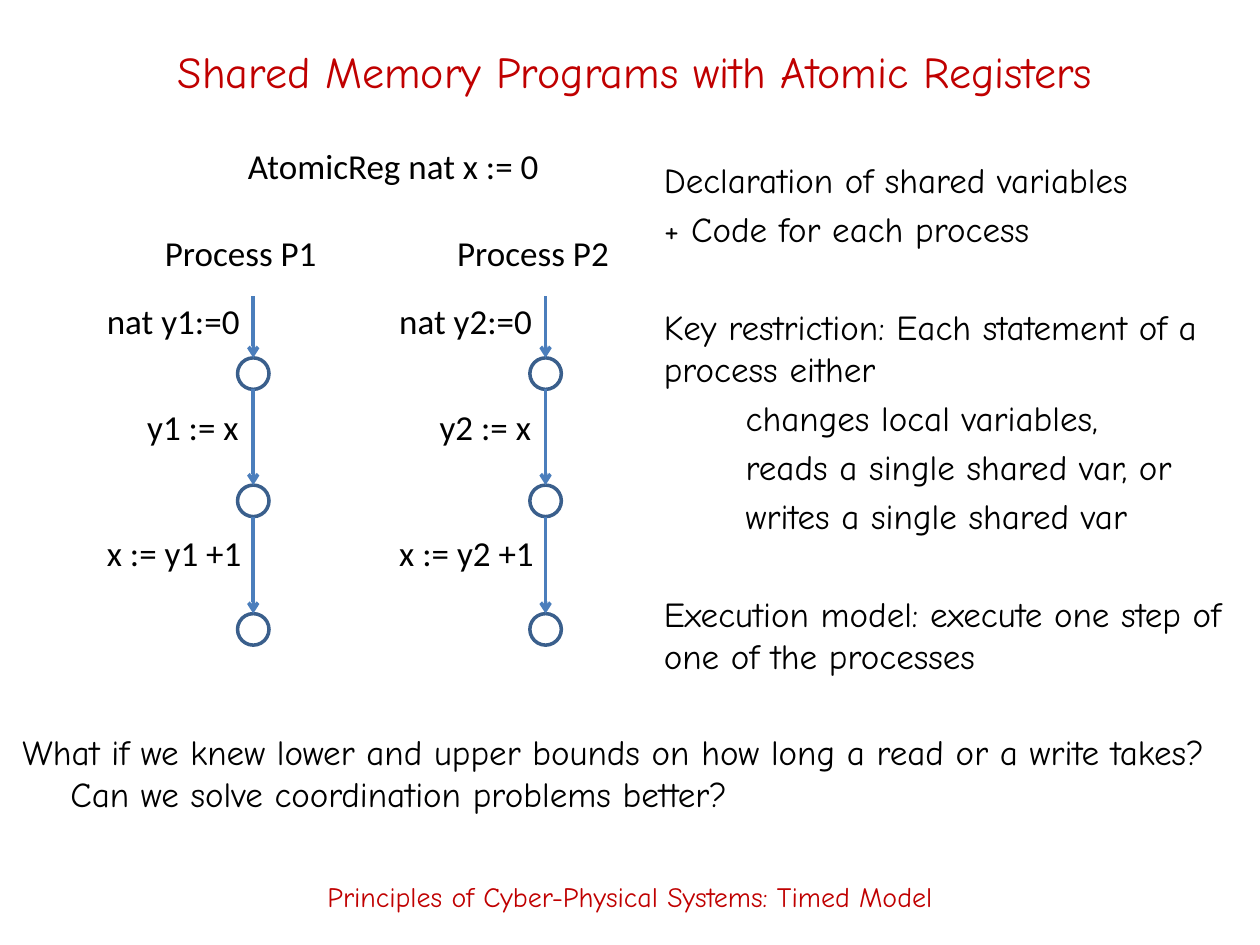
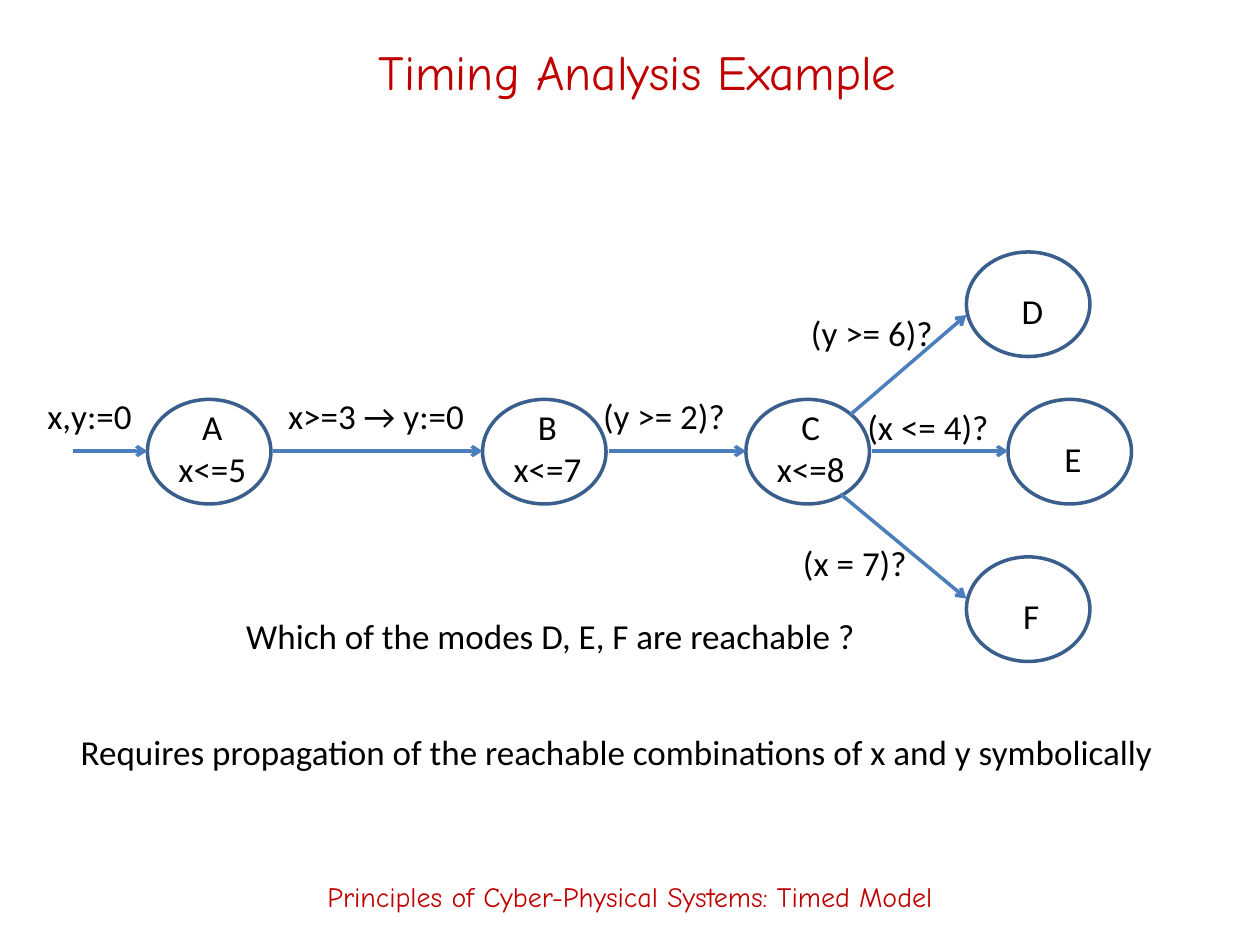
"""Build two slides on timed models: shared memory programs and timing analysis."""
from lxml import etree
from pptx import Presentation
from pptx.dml.color import RGBColor
from pptx.enum import shapes, text
from pptx.oxml import ns
from pptx.util import Inches, Pt

RED = RGBColor(0xC0, 0x00, 0x00)
BLACK = RGBColor(0x00, 0x00, 0x00)
ARROW_BLUE = RGBColor(0x4B, 0x7E, 0xBC)
OUTLINE_BLUE = RGBColor(0x3A, 0x5F, 0x8C)
HAND_FONT = "Comic Neue"
LABEL_FONT = "Calibri"
FOOTER = "Principles of Cyber-Physical Systems: Timed Model"


class Deck:
    def __init__(self):
        self.presentation = Presentation()
        self.presentation.slide_width = Inches(10)
        self.presentation.slide_height = Inches(7.5)
        self.slide = None

    def style(self, frame, font, size, color, align):
        for paragraph in frame.paragraphs:
            paragraph.alignment = align
            for run in paragraph.runs:
                run.font.name = font
                run.font.size = Pt(size)
                run.font.color.rgb = color

    def add_slide(self, title, left, size):
        self.slide = self.presentation.slides.add_slide(self.presentation.slide_layouts[5])
        shape = self.slide.shapes.title
        shape.left, shape.top = Inches(left), Inches(0.17)
        shape.width, shape.height = Inches(8.58), Inches(0.78)
        frame = shape.text_frame
        frame.text = title
        frame.auto_size = text.MSO_AUTO_SIZE.NONE
        frame.vertical_anchor = text.MSO_ANCHOR.MIDDLE
        self.style(frame, HAND_FONT, size, RED, text.PP_ALIGN.CENTER)
        footer = self.body(FOOTER, 0, 6.72, 10, 0.78, 16, RED, text.PP_ALIGN.CENTER)
        footer.vertical_anchor = text.MSO_ANCHOR.MIDDLE

    def text_box(self, content, left, top, width, height):
        shape = self.slide.shapes.add_textbox(
            Inches(left), Inches(top), Inches(width), Inches(height))
        shape.text_frame.text = content
        return shape.text_frame

    def body(self, content, left, top, width, height, size=20, color=BLACK,
             align=text.PP_ALIGN.LEFT):
        frame = self.text_box(content, left, top, width, height)
        frame.word_wrap = True
        self.style(frame, HAND_FONT, size, color, align)
        return frame

    def label(self, content, left, top, width, height=0.44, align=text.PP_ALIGN.CENTER):
        frame = self.text_box(content, left, top, width, height)
        frame.word_wrap = False
        frame.auto_size = text.MSO_AUTO_SIZE.SHAPE_TO_FIT_TEXT
        self.style(frame, LABEL_FONT, 20, BLACK, align)

    def oval(self, left, top, width, height):
        shape = self.slide.shapes.add_shape(
            shapes.MSO_SHAPE.OVAL, Inches(left), Inches(top), Inches(width), Inches(height))
        shape.shadow.inherit = False
        shape.fill.background()
        shape.line.color.rgb = OUTLINE_BLUE
        shape.line.width = Pt(2)
        return shape

    def arrow(self, x1, y1, x2, y2):
        connector = self.slide.shapes.add_connector(
            shapes.MSO_CONNECTOR.STRAIGHT, Inches(x1), Inches(y1), Inches(x2), Inches(y2))
        connector.line.color.rgb = ARROW_BLUE
        connector.line.width = Pt(2)
        etree.SubElement(connector.line._get_or_add_ln(), ns.qn("a:tailEnd"), type="arrow")
        etree.SubElement(connector._element.spPr, ns.qn("a:effectLst"))
        return connector

    def process(self, number, offset):
        labels = [(f"Process P{number}", 1.21, 1.79, 1.42),
                  (f"nat y{number}:=0", 0.75, 2.33, 1.27),
                  (f"y{number} := x", 1.07, 3.17, 0.93),
                  (f"x := y{number} +1", 0.75, 4.17, 1.28)]
        for content, left, top, width in labels:
            self.label(content, left + offset, top, width, align=text.PP_ALIGN.LEFT)
        diameter = 0.25
        center = 2.01 + offset
        start = 2.35
        for top in (2.84, 3.85, 4.87):
            state = self.oval(center - diameter / 2, top, diameter, diameter)
            self.arrow(center, start, center, top).end_connect(state, 0)
            start = top + diameter

    def mode(self, name, left, top, invariant=None):
        self.oval(left, top, 0.98, 0.83)
        if invariant:
            self.label(f"{name}\n{invariant}", left + 0.14, top, 0.75, 0.77)
        else:
            self.label(name, left + 0.34, top + 0.25, 0.35)


def shared_memory(deck):
    deck.add_slide("Shared Memory Programs with Atomic Registers", 0.75, 25.2)
    deck.label("AtomicReg nat x := 0", 1.87, 1.1, 2.53, align=text.PP_ALIGN.LEFT)
    deck.process(1, 0)
    deck.process(2, 2.32)
    lines = [("Declaration of shared variables", 0, 0),
             ("+ Code for each process", 4, 0),
             ("Key restriction: Each statement of a process either", 32, 0),
             ("changes local variables,", 4, 0.65),
             ("reads a single shared var, or", 4, 0.65),
             ("writes a single shared var", 4, 0.65),
             ("Execution model: execute one step of one of the processes", 32, 0)]
    frame = deck.body("\n".join(line[0] for line in lines), 5.17, 1.21, 4.83, 4.54)
    for paragraph, (_, gap, indent) in zip(frame.paragraphs, lines):
        paragraph.space_before = Pt(gap)
        paragraph._p.get_or_add_pPr().set("marL", str(Inches(indent)))
    question = deck.body(
        "What if we knew lower and upper bounds on how long a read or a write takes? "
        "Can we solve coordination problems better?", 0.08, 5.75, 9.83, 0.94)
    properties = question.paragraphs[0]._p.get_or_add_pPr()
    properties.set("marL", str(Inches(0.38)))
    properties.set("indent", str(Inches(-0.38)))


def timing_analysis(deck):
    deck.add_slide("Timing Analysis Example", 0.77, 28)
    for mode in [("A", 1.17, 3.17, "x<=5"), ("B", 3.83, 3.17, "x<=7"),
                 ("C", 5.92, 3.17, "x<=8"), ("D", 7.67, 2),
                 ("E", 8, 3.17), ("F", 7.67, 4.42)]:
        deck.mode(*mode)
    for start, end in [(0.58, 1.17), (2.17, 3.83), (4.83, 5.92), (6.92, 8)]:
        deck.arrow(start, 3.58, end, 3.58)
    deck.arrow(6.75, 3.29, 7.67, 2.5)
    deck.arrow(6.67, 3.92, 7.67, 4.75)
    for label in [("x,y:=0", 0.27, 3.08, 0.88),
                  ("x>=3 → y:=0", 2.17, 3.08, 1.63),
                  ("(y >= 2)?", 4.68, 3.08, 1.18),
                  ("(y >= 6)?", 6.33, 2.42, 1.18),
                  ("(x <= 4)?", 6.78, 3.17, 1.17),
                  ("(x = 7)?", 6.27, 4.25, 1.03),
                  ("Which of the modes D, E, F are reachable ?", 1.83, 4.83, 5.08),
                  ("Requires propagation of the reachable combinations of x and y symbolically",
                   0.5, 5.75, 8.79)]:
        deck.label(*label)


def main():
    deck = Deck()
    shared_memory(deck)
    timing_analysis(deck)
    deck.presentation.save("out.pptx")


if __name__ == "__main__":
    main()
